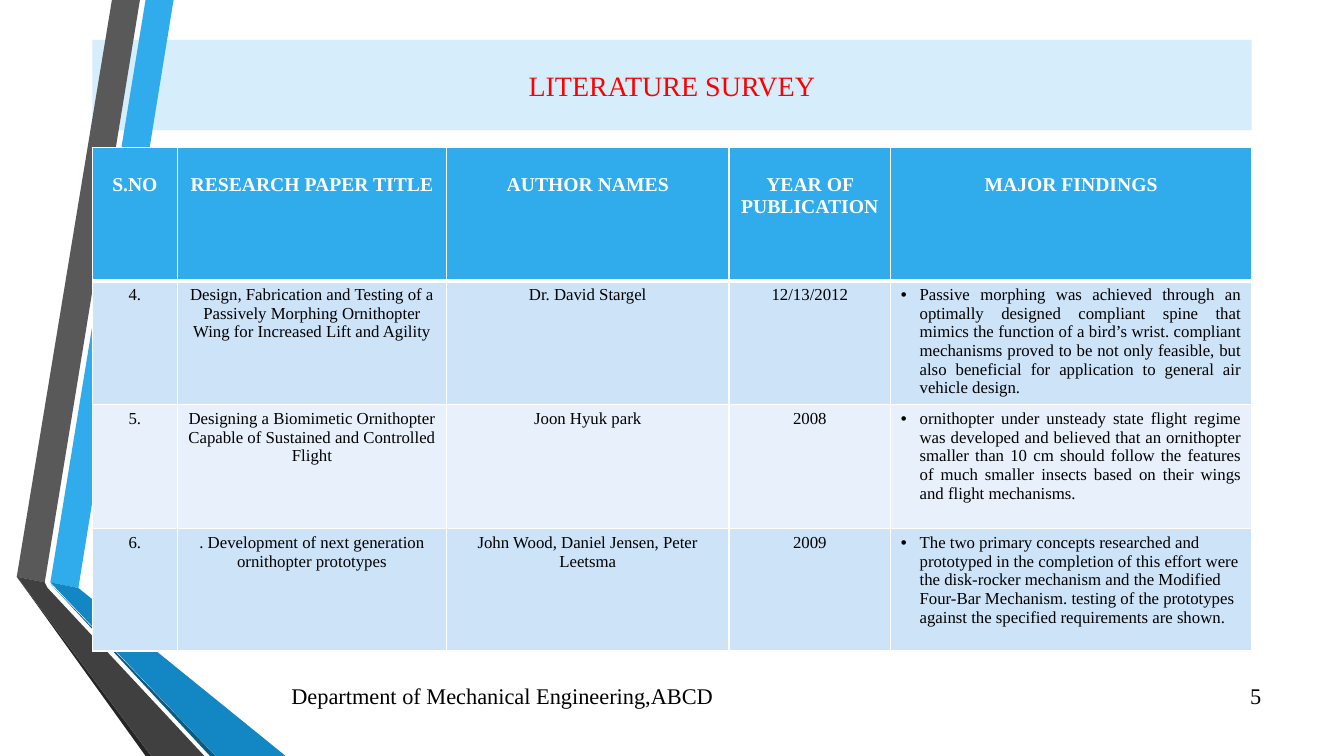
from lxml import etree
from pptx import Presentation
from pptx import util as u
from pptx.dml.color import RGBColor
from pptx.enum import text
from pptx.oxml import ns

Pt = u.Pt
FONT = "Times New Roman"
CENTER, JUSTIFY = text.PP_ALIGN.CENTER, text.PP_ALIGN.JUSTIFY
LEFT, RIGHT = text.PP_ALIGN.LEFT, text.PP_ALIGN.RIGHT

RIBBONS = [
    ("30ACEC", [(36, 416), (55.5, 420), (124.5, 0), (104.5, 0)]),
    ("595959", [(100, 0), (80, 0), (11.5, 412.5), (31.5, 415.5)]),
    ("262626", [(11.5, 412.5), (104.5, 540), (108.5, 540)]),
    ("0C5A82", [(36, 417), (150, 540), (154, 540)]),
    ("1287C3", [(36, 416.5), (154, 540), (204, 540), (55.5, 420)]),
    ("404040", [(145.5, 540), (34.5, 420), (31.5, 415.5), (11.5, 412.5), (108.5, 540)]),
]
HEADINGS = ["S.NO", "RESEARCH PAPER TITLE", "AUTHOR NAMES", "YEAR OF PUBLICATION", "MAJOR FINDINGS"]
PAPERS = [
    ["4.",
     "Design, Fabrication and Testing of a Passively Morphing Ornithopter Wing for Increased Lift and Agility",
     "Dr. David Stargel", "12/13/2012",
     "Passive morphing was achieved through an optimally designed compliant spine that mimics the function "
     "of a bird’s wrist. compliant mechanisms proved to be not only feasible, but also beneficial for "
     "application to general air vehicle design."],
    ["5.",
     "Designing a Biomimetic Ornithopter Capable of Sustained and Controlled Flight",
     "Joon Hyuk park", "2008",
     "ornithopter under unsteady state flight regime was developed and believed that an ornithopter smaller "
     "than 10 cm should follow the features of much smaller insects based on their wings and flight mechanisms."],
    ["6.",
     ". Development of next generation ornithopter prototypes",
     "John Wood, Daniel Jensen, Peter Leetsma", "2009",
     "The two primary concepts researched and prototyped in the completion of this effort were the "
     "disk-rocker mechanism and the Modified Four-Bar Mechanism. testing of the prototypes against the "
     "specified requirements are shown."],
]
FINDING_ALIGNMENTS = [JUSTIFY, JUSTIFY, LEFT]
COLUMN_WIDTHS = [60.75, 192.25, 201.75, 115.5, 257.75]
ROW_HEIGHTS = [95, 88.5, 88.5, 87.5]


def color(value):
    return RGBColor.from_string(value)


def paint(shape, value):
    shape.fill.solid()
    shape.fill.fore_color.rgb = color(value)


def write(frame, words, size, value, alignment, bold=False):
    paragraph = frame.paragraphs[0]
    paragraph.alignment = alignment
    run = paragraph.add_run()
    run.text = words
    run.font.name = FONT
    run.font.size = Pt(size)
    run.font.bold = bold
    run.font.color.rgb = color(value)
    return paragraph


def add_bullet(paragraph, indent):
    properties = paragraph._p.get_or_add_pPr()
    properties.set("marL", str(Pt(indent)))
    properties.set("indent", str(-Pt(indent)))
    font = etree.SubElement(properties, ns.qn("a:buFont"))
    font.set("typeface", "Arial")
    etree.SubElement(properties, ns.qn("a:buChar")).set("char", "•")


def add_borders(cell, bottom):
    properties = cell._tc.get_or_add_tcPr()
    widths = {"a:lnL": 1, "a:lnR": 1, "a:lnT": 1, "a:lnB": bottom}
    for position, (tag, width) in enumerate(widths.items()):
        line = etree.Element(ns.qn(tag), w=str(Pt(width)))
        fill = etree.SubElement(line, ns.qn("a:solidFill"))
        etree.SubElement(fill, ns.qn("a:srgbClr")).set("val", "FFFFFF")
        properties.insert(position, line)


def add_ribbons(slide):
    for value, points in RIBBONS:
        builder = slide.shapes.build_freeform(*points[0], scale=Pt(1))
        builder.add_line_segments(points[1:], close=True)
        shape = builder.convert_to_shape()
        paint(shape, value)
        shape.line.fill.background()
        shape.shadow.inherit = False


def add_title(slide, left, top, width, height):
    title = slide.shapes.title
    title.left, title.top, title.width, title.height = map(Pt, (left, top, width, height))
    paint(title, "D6EEFB")
    title.text_frame.vertical_anchor = text.MSO_ANCHOR.MIDDLE
    write(title.text_frame, "LITERATURE SURVEY", 20, "FF0000", CENTER)


def add_survey(slide, left, top):
    frame = slide.shapes.add_table(
        len(ROW_HEIGHTS), len(COLUMN_WIDTHS), Pt(left), Pt(top),
        Pt(sum(COLUMN_WIDTHS)), Pt(sum(ROW_HEIGHTS)))
    table = frame.table
    for column, width in zip(table.columns, COLUMN_WIDTHS):
        column.width = Pt(width)
    for row, height in zip(table.rows, ROW_HEIGHTS):
        row.height = Pt(height)
    for index, heading in enumerate(HEADINGS):
        cell = table.cell(0, index)
        paint(cell, "30ACEC")
        cell.margin_top = Pt(19)
        write(cell.text_frame, heading, 14, "FFFFFF", CENTER, True)
        add_borders(cell, 3)
    for number, paper in enumerate(PAPERS, 1):
        for index, words in enumerate(paper):
            cell = table.cell(number, index)
            paint(cell, "CDE3F8" if number % 2 else "E8F1FB")
            is_finding = index == len(paper) - 1
            alignment = FINDING_ALIGNMENTS[number - 1] if is_finding else CENTER
            paragraph = write(cell.text_frame, words, 12, "000000", alignment)
            if is_finding:
                add_bullet(paragraph, 13.5)
            add_borders(cell, 1)


def add_footer(slide, words, alignment, left, top, width, height):
    box = slide.shapes.add_textbox(Pt(left), Pt(top), Pt(width), Pt(height))
    box.text_frame.word_wrap = True
    box.text_frame.vertical_anchor = text.MSO_ANCHOR.MIDDLE
    write(box.text_frame, words, 16, "000000", alignment)


def main():
    presentation = Presentation()
    presentation.slide_width, presentation.slide_height = Pt(960), Pt(540)
    slide = presentation.slides.add_slide(presentation.slide_layouts[5])
    add_ribbons(slide)
    add_title(slide, 66, 28.5, 828, 64.5)
    add_survey(slide, 66, 105.5)
    add_footer(slide, "Department of Mechanical Engineering,ABCD", LEFT, 201, 482.5, 558, 29)
    add_footer(slide, "5", RIGHT, 865, 482.5, 43, 29)
    presentation.save("out.pptx")


if __name__ == "__main__":
    main()
